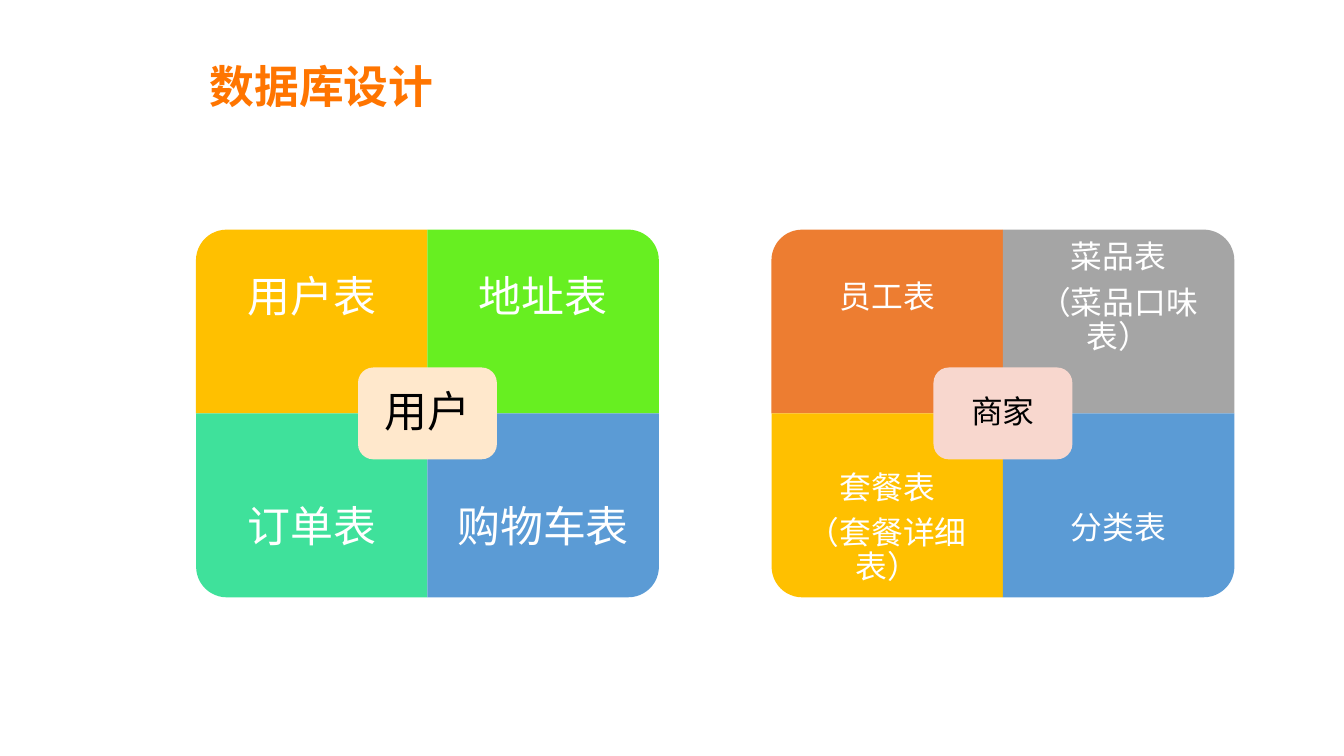
from pptx import Presentation
from pptx.dml.color import RGBColor
from pptx.enum.shapes import MSO_SHAPE
from pptx.enum.text import MSO_ANCHOR, PP_ALIGN
from pptx.util import Pt

ORANGE = RGBColor(0xFF, 0x75, 0x00)
AMBER = RGBColor(0xFF, 0xC0, 0x00)
LIME = RGBColor(0x67, 0xEF, 0x21)
MINT = RGBColor(0x3F, 0xE1, 0x9B)
BLUE = RGBColor(0x5B, 0x9B, 0xD5)
RUST = RGBColor(0xED, 0x7D, 0x31)
GRAY = RGBColor(0xA5, 0xA5, 0xA5)
CREAM = RGBColor(0xFF, 0xE8, 0xCC)
PINK = RGBColor(0xF8, 0xD7, 0xCE)
WHITE = RGBColor(0xFF, 0xFF, 0xFF)
BLACK = RGBColor(0x00, 0x00, 0x00)

TILE_WIDTH, TILE_HEIGHT = 124, 98.5
LABEL_HEIGHT = 73.5
HUB_WIDTH, HUB_HEIGHT = 74.4, 49.2
MATRIX_TOP = 123
ROTATIONS = (270, 0, 180, 90)


def add_title(slide, text):
    title = slide.shapes.title
    title.left, title.top, title.width, title.height = Pt(105), Pt(24.5), Pt(591), Pt(43)
    title.text_frame.vertical_anchor = MSO_ANCHOR.MIDDLE
    title.text_frame.text = text
    paragraph = title.text_frame.paragraphs[0]
    paragraph.alignment = PP_ALIGN.LEFT
    paragraph.font.name = "Noto Sans CJK SC"
    paragraph.font.size = Pt(24)
    paragraph.font.bold = True
    paragraph.font.color.rgb = ORANGE


def add_block(group, preset, center_x, center_y, width, height, color, rotation=0):
    if rotation in (90, 270):
        width, height = height, width
    shape = group.shapes.add_shape(preset, Pt(center_x - width / 2), Pt(center_y - height / 2),
                                   Pt(width), Pt(height))
    shape.rotation = rotation
    shape.shadow.inherit = False
    shape.fill.solid()
    shape.fill.fore_color.rgb = color
    shape.line.fill.background()


def add_label(group, left, top, width, height, text, size, color, inset):
    label = group.shapes.add_textbox(Pt(left), Pt(top), Pt(width), Pt(height))
    frame = label.text_frame
    frame.word_wrap = True
    frame.vertical_anchor = MSO_ANCHOR.MIDDLE
    frame.margin_left = frame.margin_right = Pt(inset)
    frame.margin_top = frame.margin_bottom = Pt(inset)
    frame.text = text
    for paragraph in frame.paragraphs:
        paragraph.alignment = PP_ALIGN.CENTER
        paragraph.line_spacing = 0.9
        paragraph.space_after = Pt(0.35 * size)
        paragraph.font.name = "Calibri"
        paragraph.font.size = Pt(size)
        paragraph.font.color.rgb = color


def add_matrix(slide, left, hub, hub_color, tiles, size):
    group = slide.shapes.add_group_shape()
    center_x, center_y = left + TILE_WIDTH, MATRIX_TOP + TILE_HEIGHT
    for index, (text, color) in enumerate(tiles):
        row, column = divmod(index, 2)
        tile_left = left + column * TILE_WIDTH
        tile_top = MATRIX_TOP + row * TILE_HEIGHT
        add_block(group, MSO_SHAPE.ROUND_1_RECTANGLE, tile_left + TILE_WIDTH / 2,
                  tile_top + TILE_HEIGHT / 2, TILE_WIDTH, TILE_HEIGHT, color, ROTATIONS[index])
        label_top = tile_top + row * (TILE_HEIGHT - LABEL_HEIGHT)
        add_label(group, tile_left, label_top, TILE_WIDTH, LABEL_HEIGHT,
                  text, size, WHITE, 0.56 * size)
    add_block(group, MSO_SHAPE.ROUNDED_RECTANGLE, center_x, center_y,
              HUB_WIDTH, HUB_HEIGHT, hub_color)
    add_label(group, center_x - 35, center_y - 22.3, 70, 44.6, hub, size, BLACK, 0.3 * size)


def main():
    presentation = Presentation()
    presentation.slide_width, presentation.slide_height = Pt(720), Pt(405)
    slide = presentation.slides.add_slide(presentation.slide_layouts[5])
    add_title(slide, "数据库设计")
    add_matrix(slide, 105, "用户", CREAM,
               [("用户表", AMBER), ("地址表", LIME), ("订单表", MINT), ("购物车表", BLUE)], 23)
    add_matrix(slide, 413.3, "商家", PINK,
               [("员工表", RUST), ("菜品表\n（菜品口味表）", GRAY),
                ("套餐表\n（套餐详细表）", AMBER), ("分类表", BLUE)], 17)
    presentation.save("out.pptx")


main()
